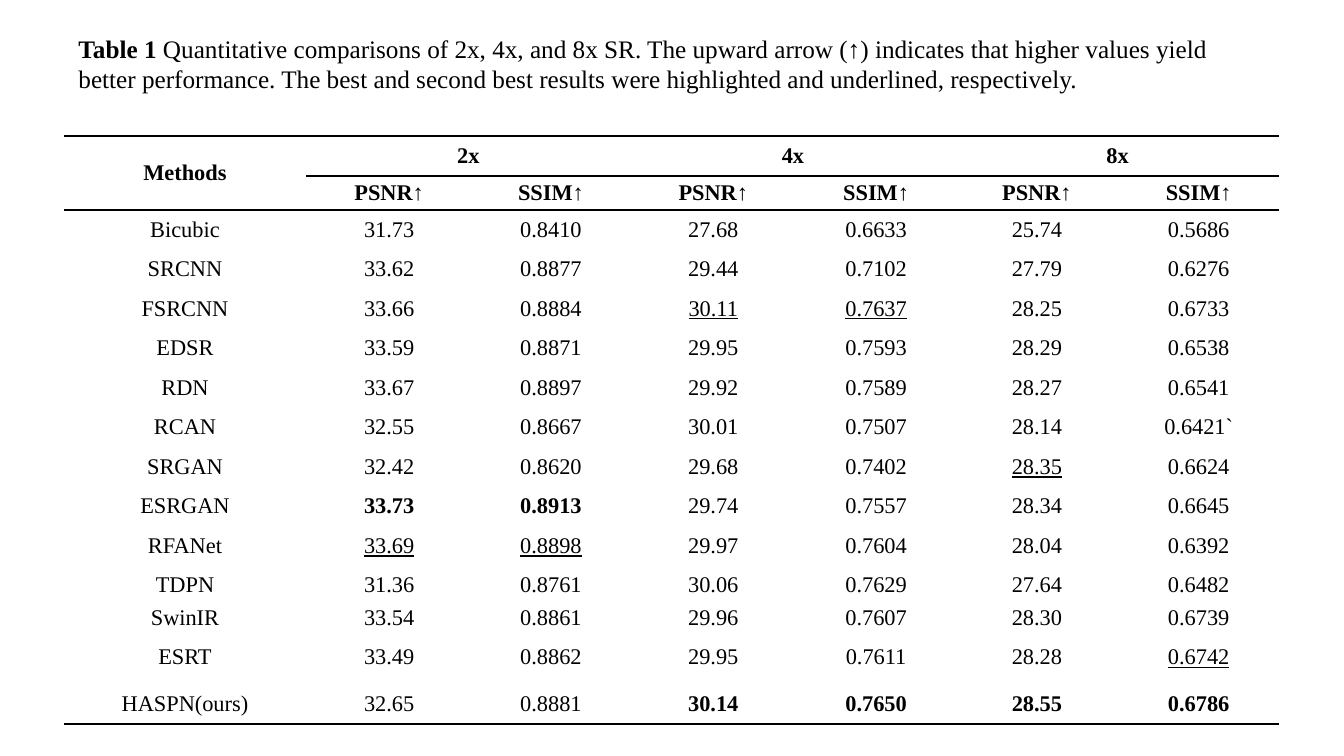
from lxml import etree
from pptx import Presentation
from pptx.dml.color import RGBColor
from pptx.enum.text import MSO_ANCHOR, PP_ALIGN
from pptx.oxml.ns import qn
from pptx.util import Emu, Inches, Pt

MIDDLE, TOP = MSO_ANCHOR.MIDDLE, MSO_ANCHOR.TOP
CENTER = PP_ALIGN.CENTER
COLORS = {"ink": "000000", "paper": "FFFFFF"}
FONT = "Times New Roman"
RULE_WIDTH = Pt(1.5)

CAPTION = [
    ("Table 1 ", True),
    ("Quantitative comparisons of 2x, 4x, and 8x SR. The upward arrow (↑) indicates "
     "that higher values yield better performance. The best and second best results "
     "were highlighted and underlined, respectively.", False),
]
SCALES = ["2x", "4x", "8x"]
METRICS = ["PSNR↑", "SSIM↑"]
# A leading * marks the best value, a leading _ the second best
RESULTS = [row.split() for row in """
Bicubic 31.73 0.8410 27.68 0.6633 25.74 0.5686
SRCNN 33.62 0.8877 29.44 0.7102 27.79 0.6276
FSRCNN 33.66 0.8884 _30.11 _0.7637 28.25 0.6733
EDSR 33.59 0.8871 29.95 0.7593 28.29 0.6538
RDN 33.67 0.8897 29.92 0.7589 28.27 0.6541
RCAN 32.55 0.8667 30.01 0.7507 28.14 0.6421`
SRGAN 32.42 0.8620 29.68 0.7402 _28.35 0.6624
ESRGAN *33.73 *0.8913 29.74 0.7557 28.34 0.6645
RFANet _33.69 _0.8898 29.97 0.7604 28.04 0.6392
TDPN 31.36 0.8761 30.06 0.7629 27.64 0.6482
SwinIR 33.54 0.8861 29.96 0.7607 28.30 0.6739
ESRT 33.49 0.8862 29.95 0.7611 28.28 _0.6742
HASPN(ours) 32.65 0.8881 *30.14 *0.7650 *28.55 *0.6786
""".strip().splitlines()]
TOP_ANCHORED = {"SwinIR", "ESRT"}
COLUMN_WIDTHS = [2.41, 1.64, 1.57, 1.65, 1.58, 1.61, 1.6]
METRIC_ROW_HEIGHT = 0.34


def add_run(p, text, size, bold=False, underline=False):
    r = p.add_run()
    r.text = text
    r.font.name, r.font.size = FONT, Pt(size)
    r.font.bold, r.font.underline = bold, underline
    r.font.color.rgb = RGBColor.from_string(COLORS["ink"])


def set_borders(cell, ruled):
    """Draw the sides named in ruled and clear the others."""
    tc_pr = cell._tc.get_or_add_tcPr()
    for side in "LRTB":
        ln = etree.SubElement(tc_pr, qn(f"a:ln{side}"), w=str(RULE_WIDTH))
        if side in ruled:
            fill = etree.SubElement(ln, qn("a:solidFill"))
            etree.SubElement(fill, qn("a:srgbClr"), val=COLORS["ink"])
        else:
            etree.SubElement(ln, qn("a:noFill"))


def format_cell(cell, ruled, anchor):
    set_borders(cell, ruled)
    cell.fill.solid()
    cell.fill.fore_color.rgb = RGBColor.from_string(COLORS["paper"])
    cell.margin_left = cell.margin_right = Inches(0.07)
    cell.margin_top = cell.margin_bottom = 0
    cell.vertical_anchor = anchor


def write_cell(cell, mark, bold=False):
    p = cell.text_frame.paragraphs[0]
    p.alignment = CENTER
    add_run(p, mark.lstrip("*_"), 16, bold or mark.startswith("*"), mark.startswith("_"))


def add_caption(s, x, y, w, h):
    tf = s.shapes.add_textbox(x, y, w, h).text_frame
    tf.word_wrap = True
    for text, bold in CAPTION:
        add_run(tf.paragraphs[0], text, 18, bold)


def add_results_table(s, x, y, w, h):
    n_rows, n_cols = len(RESULTS) + 2, len(COLUMN_WIDTHS)
    last = n_rows - 1
    table = s.shapes.add_table(n_rows, n_cols, x, y, w, h).table
    table.first_row = table.horz_banding = False

    # Column and row sizes
    for column, width in zip(table.columns, COLUMN_WIDTHS):
        column.width = Emu(int(w * width / sum(COLUMN_WIDTHS)))
    metric_height = Inches(METRIC_ROW_HEIGHT)
    for i, row in enumerate(table.rows):
        row.height = metric_height if i == 1 else Emu(int((h - metric_height) / last))

    # Fills, rules and anchors
    for i in range(n_rows):
        top_anchored = i > 1 and RESULTS[i - 2][0] in TOP_ANCHORED
        for j in range(n_cols):
            inside_merge = i == 1 and j == 0
            ruled = "T" if i < 3 and not inside_merge else ""
            ruled += "B" if i in (0, 1, last) else ""
            format_cell(table.cell(i, j), ruled, TOP if top_anchored else MIDDLE)

    # Two-level header
    table.cell(0, 0).merge(table.cell(1, 0))
    write_cell(table.cell(0, 0), "Methods", True)
    for k, scale in enumerate(SCALES):
        first = 1 + k * len(METRICS)
        table.cell(0, first).merge(table.cell(0, first + len(METRICS) - 1))
        write_cell(table.cell(0, first), scale, True)
        for m, metric in enumerate(METRICS):
            write_cell(table.cell(1, first + m), metric, True)

    # Results
    for i, values in enumerate(RESULTS, 2):
        for j, value in enumerate(values):
            write_cell(table.cell(i, j), value)


def main():
    prs = Presentation()
    prs.slide_width, prs.slide_height = Inches(13.33), Inches(7.5)
    s = prs.slides.add_slide(prs.slide_layouts[6])
    add_caption(s, Inches(0.68), Inches(0.28), Inches(12.02), Inches(0.99))
    add_results_table(s, Inches(0.63), Inches(1.35), Inches(12.06), Inches(5.83))
    prs.save("out.pptx")


if __name__ == "__main__":
    main()
